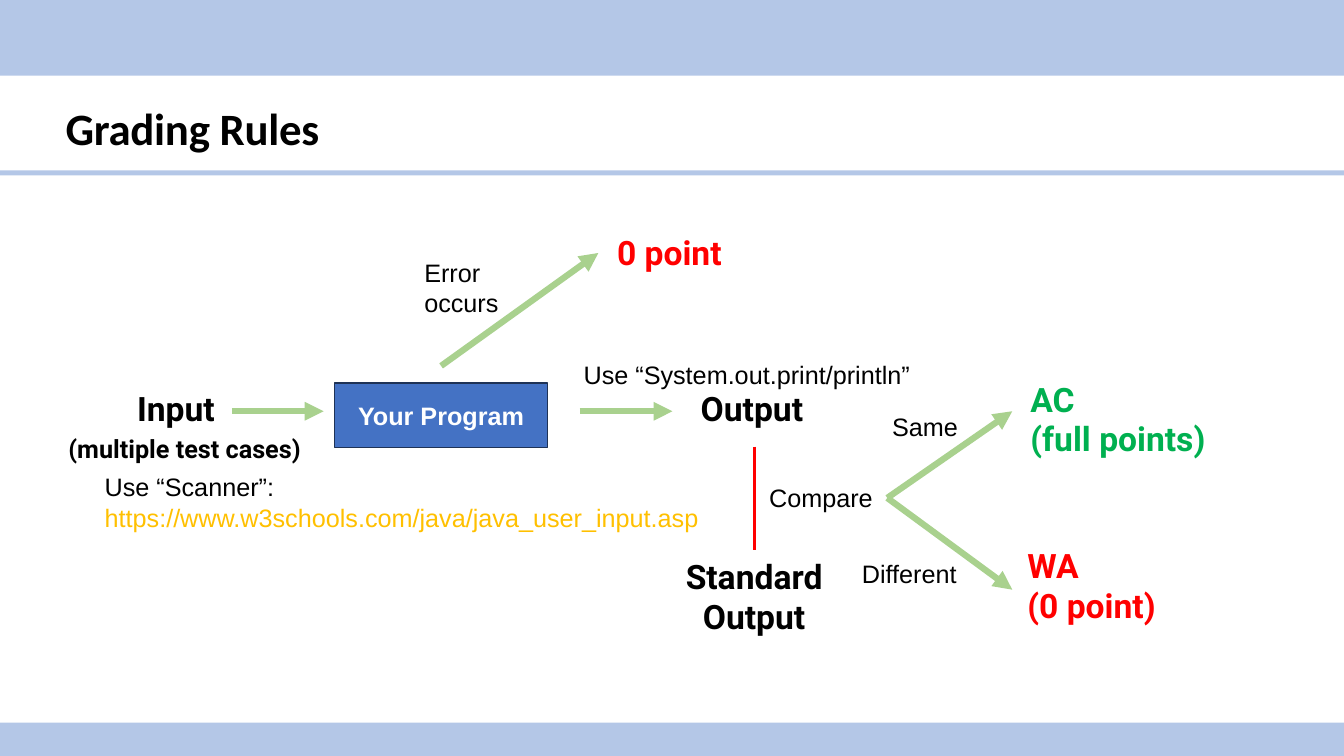
from lxml import etree
from pptx import Presentation
from pptx.dml.color import RGBColor
from pptx.enum.shapes import MSO_CONNECTOR, MSO_SHAPE
from pptx.enum.text import MSO_ANCHOR, MSO_AUTO_SIZE, PP_ALIGN
from pptx.oxml.ns import qn
from pptx.util import Inches, Pt

RECT, STRAIGHT = MSO_SHAPE.RECTANGLE, MSO_CONNECTOR.STRAIGHT
TOP, MIDDLE = MSO_ANCHOR.TOP, MSO_ANCHOR.MIDDLE
LEFT, CENTER = PP_ALIGN.LEFT, PP_ALIGN.CENTER
NO_FIT = MSO_AUTO_SIZE.NONE

W, H = 13.33, 7.5
COLORS = {
    "band": "B4C7E7", "box": "4472C4", "edge": "1E3256", "arrow": "A9D18E",
    "compare": "FF0000", "black": "000000", "white": "FFFFFF",
    "pass": "00B050", "fail": "FF0000", "link": "FFC000",
}
TITLE = {"name": "Calibri", "size": Pt(32), "bold": True}
NODE = {"name": "Roboto", "size": Pt(24), "bold": True}
DETAIL = {"name": "Roboto", "size": Pt(18), "bold": True}
LABEL = {"name": "Arial", "size": Pt(18), "bold": False}
PROGRAM = {"name": "Arial", "size": Pt(18), "bold": True}
NO_INSET = {f"margin_{side}": 0 for side in ("left", "right", "top", "bottom")}


def rgb(key):
    """Return the named colour."""
    return RGBColor.from_string(COLORS[key])


def apply(obj, fmt):
    """Set each attribute in a dict of format values."""
    for name, value in fmt.items():
        setattr(obj, name, value)


def write(tf, lines, fmt, para):
    """Fill a text frame with (text, colour) paragraphs."""
    for i, (text, color) in enumerate(lines):
        p = tf.add_paragraph() if i else tf.paragraphs[0]
        apply(p, para)
        r = p.add_run()
        r.text = text
        apply(r.font, fmt)
        r.font.color.rgb = rgb(color)


def add_label(s, x, y, w, h, *lines, fmt=LABEL):
    """Add a wrapped text box with the usual insets."""
    tf = s.shapes.add_textbox(*map(Inches, (x, y, w, h))).text_frame
    tf.word_wrap = True
    write(tf, lines, fmt, {"alignment": LEFT})


def add_node(s, x, y, *lines, align=LEFT):
    """Add a large step or result without insets."""
    tf = s.shapes.add_textbox(*map(Inches, (x, y, 2.14, 0.64))).text_frame
    apply(tf, {"word_wrap": True, **NO_INSET})
    write(tf, lines, NODE, {"alignment": align, "line_spacing": Pt(28)})


def add_rect(s, x, y, w, h, fill):
    """Add a flat filled rectangle."""
    sp = s.shapes.add_shape(RECT, *map(Inches, (x, y, w, h)))
    sp.shadow.inherit = False
    sp.fill.solid()
    sp.fill.fore_color.rgb = rgb(fill)
    sp.line.fill.background()
    return sp


def add_line(s, x1, y1, x2, y2, color="arrow", width=4.5, head=True):
    """Add a straight line, with an arrowhead at its end if wanted."""
    c = s.shapes.add_connector(STRAIGHT, *map(Inches, (x1, y1, x2, y2)))
    c.line.color.rgb = rgb(color)
    c.line.width = Pt(width)
    if head:
        etree.SubElement(c.line._get_or_add_ln(), qn("a:tailEnd"), type="triangle")
    etree.SubElement(c._element.spPr, qn("a:effectLst"))


def add_bands(s):
    """Draw the top band, the title rule and the bottom band."""
    for y, h in ((0, 0.75), (1.69, 0.05), (H - 0.33, 0.33)):
        add_rect(s, 0, y, W, h, "band")


def add_title(s, x, y, w, h, text):
    """Place and format the title placeholder."""
    sp = s.shapes.title
    apply(sp, dict(zip(("left", "top", "width", "height"), map(Inches, (x, y, w, h)))))
    tf = sp.text_frame
    apply(tf, {"word_wrap": True, "auto_size": NO_FIT, "vertical_anchor": TOP, **NO_INSET})
    write(tf, [(text, "black")], TITLE, {"alignment": LEFT, "line_spacing": Pt(44.5)})
    tf.paragraphs[0].runs[0]._r.get_or_add_rPr().set("spc", "-20")


def add_input(s, x, y):
    """Describe the input and how to read it."""
    add_node(s, x + 0.78, y, ("Input", "black"))
    add_label(s, x, y + 0.39, 2.62, 0.71, ("(multiple test cases)", "black"), fmt=DETAIL)
    add_label(s, x + 0.36, y + 0.77, 6.24, 0.71, ("Use “Scanner”:", "black"),
              ("https://www.w3schools.com/java/java_user_input.asp", "link"))
    add_line(s, x + 1.72, y + 0.22, x + 2.63, y + 0.22)


def add_program(s, x, y, w, h):
    """Draw the program box with its error and output arrows."""
    sp = add_rect(s, x, y, w, h, "box")
    sp.line.color.rgb = rgb("edge")
    sp.line.width = Pt(1)
    sp.text_frame.vertical_anchor = MIDDLE
    write(sp.text_frame, [("Your Program", "white")], PROGRAM, {"alignment": CENTER})
    mid = x + w / 2
    add_line(s, mid, y - 0.17, mid + 1.56, y - 1.29)
    add_label(s, x + 0.79, y - 1.3, 1.27, 0.71, ("Error occurs", "black"))
    add_node(s, x + 2.8, y - 1.49, ("0 point", "fail"))
    add_line(s, x + w + 0.32, y + 0.28, x + w + 1.24, y + 0.28)


def add_output(s, x, y):
    """Set the output above the standard output it is compared with."""
    add_label(s, x - 1.26, y - 0.34, 3.73, 0.4, ("Use “System.out.print/println”", "black"))
    add_node(s, x, y, ("Output", "black"))
    add_line(s, x + 0.53, y + 0.57, x + 0.53, y + 1.6, "compare", 2.25, False)
    add_label(s, x + 0.58, y + 0.88, 1.27, 0.4, ("Compare", "black"))
    add_node(s, x - 0.54, y + 1.67, ("Standard Output", "black"), align=CENTER)


def add_verdicts(s, x, y):
    """Branch from the comparison to the two verdicts."""
    verdicts = (
        ("Same", -0.05, -0.91, -0.86, ("AC", "(full points)"), 1.42, -1.17, "pass"),
        ("Different", -0.35, 0.55, 0.91, ("WA", "(0 point)"), 1.39, 0.48, "fail"),
    )
    for label, lx, ly, tip, lines, vx, vy, color in verdicts:
        add_line(s, x, y, x + 1.24, y + tip)
        add_label(s, x + lx, y + ly, 1.27, 0.4, (label, "black"))
        add_node(s, x + vx, y + vy, *((text, color) for text in lines))


def main():
    """Build and save the slide."""
    prs = Presentation()
    prs.slide_width, prs.slide_height = Inches(W), Inches(H)
    s = prs.slides.add_slide(prs.slide_layouts[5])
    add_bands(s)
    add_title(s, 0.65, 0.91, 6.68, 0.64, "Grading Rules")
    add_input(s, 0.58, 3.86)
    add_program(s, 3.32, 3.8, 2.11, 0.64)
    add_output(s, 6.95, 3.86)
    add_verdicts(s, 8.8, 4.94)
    prs.save("out.pptx")


if __name__ == "__main__":
    main()
